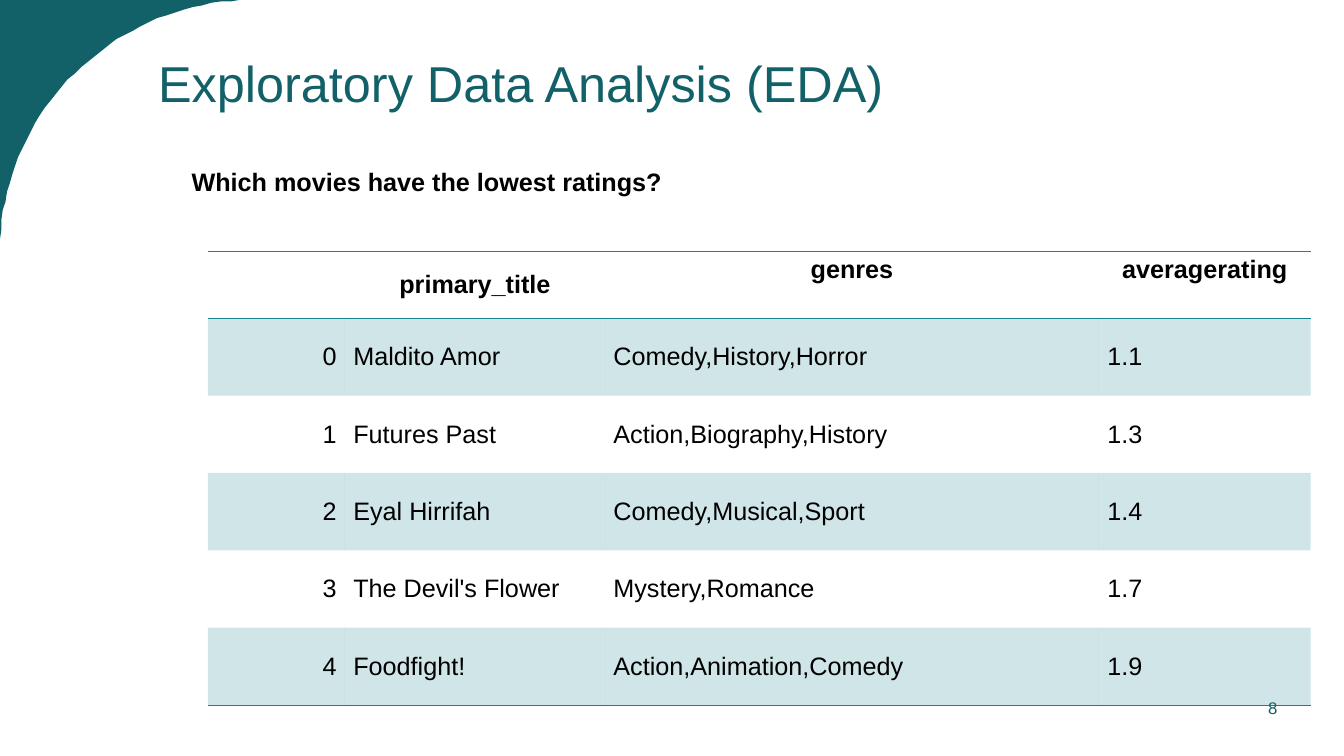
import lxml.etree
import pptx
import pptx.dml.color
import pptx.enum.text
import pptx.oxml
import pptx.oxml.ns
import pptx.util

Pt = pptx.util.Pt
ALIGN = pptx.enum.text.PP_ALIGN
ANCHOR = pptx.enum.text.MSO_ANCHOR
DEEP_TEAL, TEAL, BLACK = "126169", "18818C", "000000"


def paint(target, color):
    target.rgb = pptx.dml.color.RGBColor.from_string(color)


def write(frame, text, size, color, bold=False, align=ALIGN.LEFT, anchor=ANCHOR.MIDDLE):
    frame.text = text
    frame.vertical_anchor = anchor
    paragraph = frame.paragraphs[0]
    paragraph.alignment = align
    font = paragraph.runs[0].font
    font.name, font.size, font.bold = "Arial", Pt(size), bold
    paint(font.color, color)
    return paragraph


deck = pptx.Presentation()
deck.slide_width, deck.slide_height = Pt(960), Pt(540)
slide = deck.slides.add_slide(deck.slide_layouts[1])

curve = [(171.4, 0), (79.2, 5), (5, 78.5), (0, 170.6)]
arc = []
for step in range(41):
    t = step / 40
    weights = [(1 - t) ** 3, 3 * t * (1 - t) ** 2, 3 * t ** 2 * (1 - t), t ** 3]
    arc.append(tuple(sum(w * point[axis] for w, point in zip(weights, curve)) for axis in (0, 1)))
builder = slide.shapes.build_freeform(0, 180, scale=Pt(1))
builder.add_line_segments([(0, 0), (180, 0)] + arc, close=True)
corner = builder.convert_to_shape()
corner.shadow.inherit = False
corner.fill.solid()
paint(corner.fill.fore_color, DEEP_TEAL)
corner.line.fill.background()

heading = slide.shapes.title
heading.left, heading.top, heading.width, heading.height = Pt(105.8), Pt(27.4), Pt(803.5), Pt(69)
write(heading.text_frame, "Exploratory Data Analysis (EDA)", 36, DEEP_TEAL).line_spacing = 0.9

question = slide.placeholders[1]
question.left, question.top, question.width, question.height = Pt(124.6), Pt(110.9), Pt(528.5), Pt(69)
question.text_frame.margin_left = Pt(12.2)
question_line = write(question.text_frame, "Which movies have the lowest ratings?", 18, BLACK,
                      bold=True, anchor=ANCHOR.TOP)
question_line.line_spacing = 1.2
question_line.space_before, question_line.space_after = Pt(0), Pt(6)
bullet = question_line._p.get_or_add_pPr()
bullet.set("marL", "0")
bullet.set("indent", "0")
lxml.etree.SubElement(bullet, pptx.oxml.ns.qn("a:buNone"))

movies = [
    ("", "primary_title", "genres", "averagerating"),
    ("0", "Maldito Amor", "Comedy,History,Horror", "1.1"),
    ("1", "Futures Past", "Action,Biography,History", "1.3"),
    ("2", "Eyal Hirrifah", "Comedy,Musical,Sport", "1.4"),
    ("3", "The Devil's Flower", "Mystery,Romance", "1.7"),
    ("4", "Foodfight!", "Action,Animation,Comedy", "1.9"),
]
widths = [97.9, 185.8, 352.8, 151.2]
heights = [47.8] + [55.3] * 5
ratings = slide.shapes.add_table(len(movies), len(widths), Pt(148.5), Pt(179.5),
                                 Pt(sum(widths)), Pt(sum(heights))).table
ratings.first_row = ratings.horz_banding = False
ratings._tbl.tblPr.find(pptx.oxml.ns.qn("a:tableStyleId")).text = "{2D5ABB26-0587-4C30-8999-92F81FD0307C}"
for column, width in zip(ratings.columns, widths):
    column.width = Pt(width)
for row, height in zip(ratings.rows, heights):
    row.height = Pt(height)

for r, movie in enumerate(movies):
    for c, value in enumerate(movie):
        cell = ratings.cell(r, c)
        cell.margin_left = cell.margin_right = Pt(6)
        cell.margin_top = cell.margin_bottom = Pt(3)
        if value:
            align = ALIGN.CENTER if r == 0 else ALIGN.RIGHT if c == 0 else ALIGN.LEFT
            write(cell.text_frame, value, 18, BLACK, bold=r == 0, align=align)
        cell.vertical_anchor = ANCHOR.TOP if r == 0 and c > 1 else ANCHOR.MIDDLE
        properties = cell._tc.get_or_add_tcPr()
        if r % 2:
            cell.fill.solid()
            paint(cell.fill.fore_color, TEAL)
            tint = properties.find(".//" + pptx.oxml.ns.qn("a:srgbClr"))
            lxml.etree.SubElement(tint, pptx.oxml.ns.qn("a:alpha")).set("val", "20000")
        else:
            cell.fill.background()
        edges = {0: ["lnT", "lnB"], len(movies) - 1: ["lnB"]}.get(r, [])
        for place, edge in enumerate(edges):
            properties.insert(place, pptx.oxml.parse_xml(
                f'<a:{edge} {pptx.oxml.ns.nsdecls("a")} w="12700"><a:solidFill>'
                f'<a:srgbClr val="{TEAL}"/></a:solidFill></a:{edge}>'))

page_number = slide.shapes.add_textbox(Pt(858.2), Pt(470.9), Pt(101.8), Pt(69))
page_number.text_frame.word_wrap = True
write(page_number.text_frame, "8", 12, DEEP_TEAL, align=ALIGN.CENTER)

deck.save("out.pptx")
